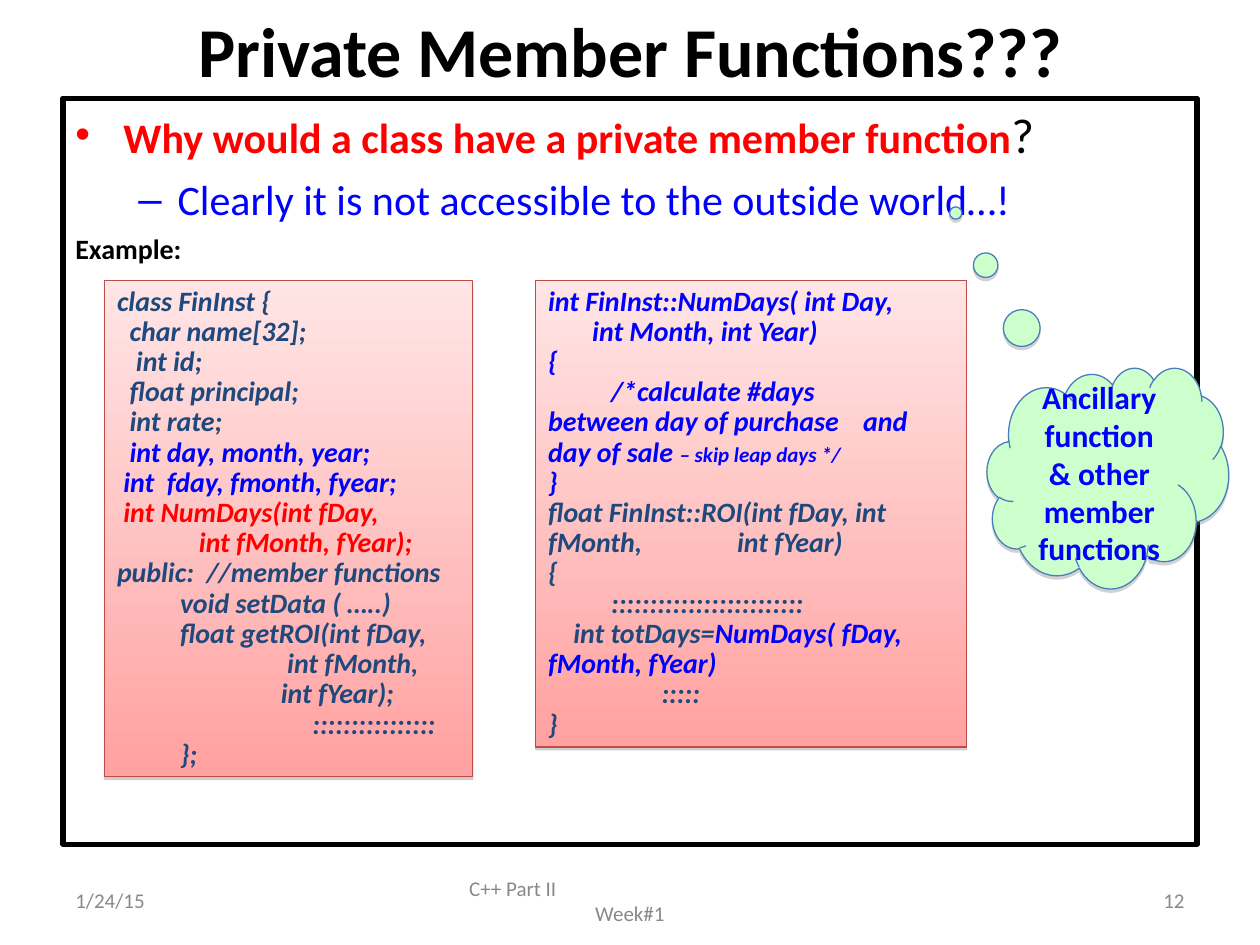
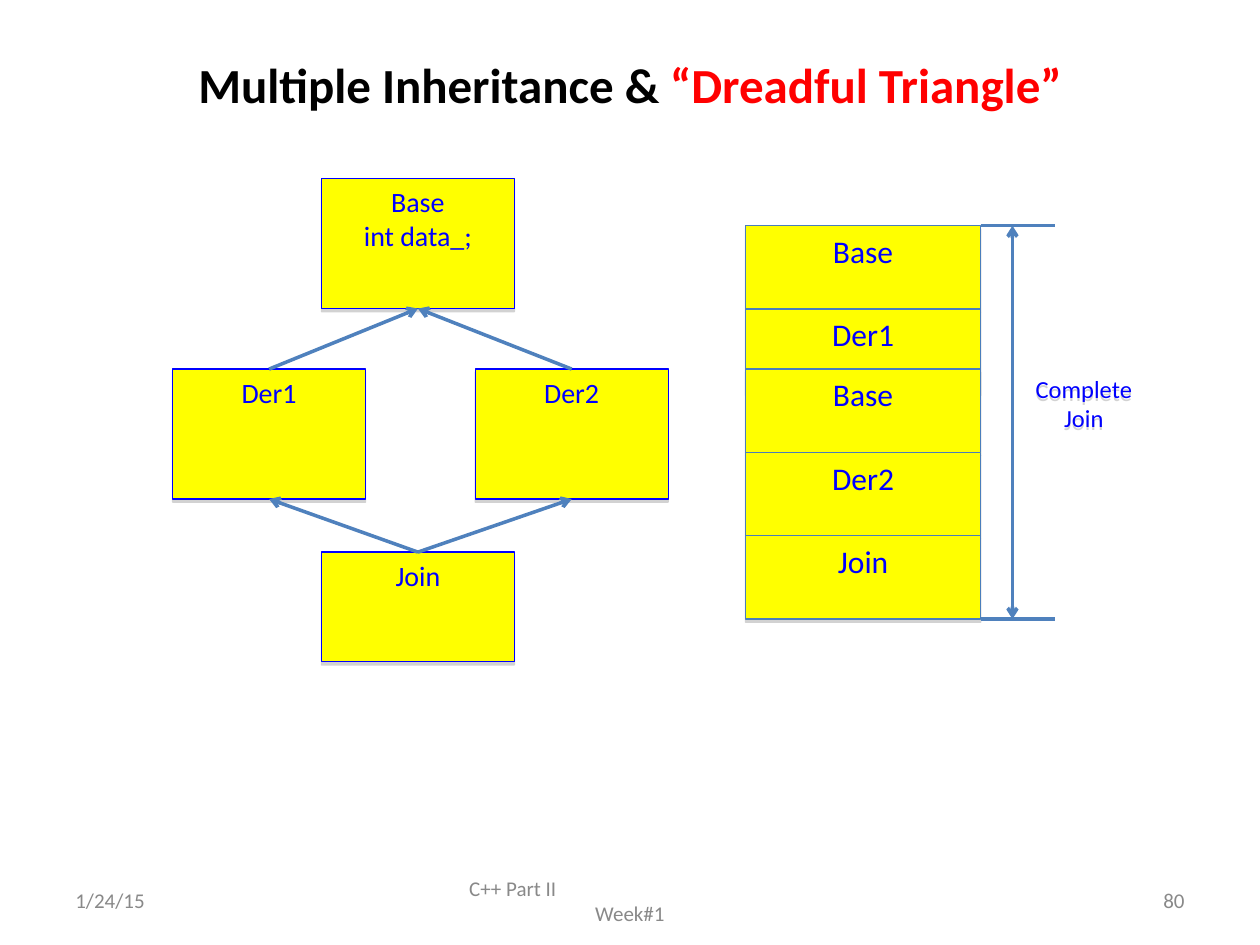
"""Build two C++ slides: private member functions and multiple inheritance."""
from lxml import etree
from pptx import Presentation
from pptx.dml.color import RGBColor
from pptx.enum.shapes import MSO_CONNECTOR, MSO_SHAPE
from pptx.enum.text import MSO_ANCHOR, PP_ALIGN
from pptx.oxml import parse_xml
from pptx.oxml.ns import nsdecls, qn
from pptx.util import Cm, Pt

FONT = "Calibri"
BLACK = RGBColor(0x00, 0x00, 0x00)
RED = RGBColor(0xFF, 0x00, 0x00)
BLUE = RGBColor(0x00, 0x00, 0xFF)
NAVY = RGBColor(0x1F, 0x49, 0x7D)
GRAY = RGBColor(0x89, 0x89, 0x89)
YELLOW = RGBColor(0xFF, 0xFF, 0x00)
MINT = RGBColor(0xCC, 0xFF, 0xCC)
PINK_TOP = RGBColor(0xFF, 0xE5, 0xE5)
PINK_BOTTOM = RGBColor(0xFF, 0xA2, 0xA1)
PINK_EDGE = RGBColor(0xBE, 0x4B, 0x48)
STEEL = RGBColor(0x4A, 0x7E, 0xBB)
ARROW = RGBColor(0x4F, 0x81, 0xBD)
LEFT, CENTER, RIGHT = PP_ALIGN.LEFT, PP_ALIGN.CENTER, PP_ALIGN.RIGHT

DATE = "1/24/15"
COURSE = ["C++ Part II", "Week#1"]

PRIVATE_TITLE = ["Private Member Functions???"]
QUESTION = [
    [("Why would a class have a private member function", dict(color=RED, bold=True)),
     ("?", dict(size=28))],
    [("Clearly it is not accessible to the outside world…!", dict(color=BLUE))],
    [("Example:", dict(size=16, bold=True))],
]
QUESTION_FORMAT = [("•", RED, 0.97, -0.97, 0), ("–", BLUE, 2.06, -0.79, 6), (None, None, 0, 0, 4)]

CLASS_CODE = [
    (NAVY, ["class FinInst {", "  char name[32];", "   int id;", "  float principal;", "  int rate;"]),
    (BLUE, ["  int day, month, year;", " int  fday, fmonth, fyear;"]),
    (RED, [" int NumDays(int fDay,", "             int fMonth, fYear);"]),
    (NAVY, ["public:  //member functions", "\tvoid setData ( …..)", "\tfloat getROI(int fDay,",
            "                           int fMonth,", "                          int fYear);",
            "\t\t\t ::::::::::::::::", "\t};"]),
]
METHOD_CODE = [
    (BLUE, ["int FinInst::NumDays( int Day,", "       int Month, int Year)", "{",
            "\t/*calculate #days", "between day of purchase\tand",
            [("day of sale ", {}), ("– skip leap days */", dict(size=12))], "}"]),
    (NAVY, ["float FinInst::ROI(int fDay, int", "fMonth,\t\tint fYear)", "{",
            "\t:::::::::::::::::::::::::",
            [("    int totDays=", {}), ("NumDays( fDay,", dict(color=BLUE))],
            [("fMonth, fYear)", dict(color=BLUE))], "                  :::::", "}"]),
]
CODE_BOXES = [(CLASS_CODE, 2.11, 7.42, 10.0), (METHOD_CODE, 10.8, 8.68, 9.4)]
CLOUD = ["Ancillary function & other member functions"]

TRIANGLE_TITLE = [[("Multiple Inheritance & ", {}), ("“Dreadful Triangle”", dict(color=RED))]]
CLASSES = {
    "Base": (["Base", "int data_;"], 6.48, 3.6, 2.62),
    "Der1": (["Der1"], 3.48, 7.44, 2.62),
    "Der2": (["Der2"], 9.58, 7.44, 2.62),
    "Join": (["Join"], 6.48, 11.13, 2.21),
}
INHERITS = [("Join", "Der2"), ("Join", "Der1"), ("Der1", "Base"), ("Der2", "Base")]
LAYOUT_ROWS = [("Base", 1.68), ("Der1", 1.21), ("Base", 1.68), ("Der2", 1.68), ("Join", 1.68)]
STACK_LEFT, STACK_TOP, STACK_W, ROW_H = 15.03, 4.55, 4.74, 1.68


def write(sp, lines, size=16, color=BLACK, bold=False, italic=False, align=LEFT,
          anchor=MSO_ANCHOR.TOP, spacing=None):
    """Fill a shape with lines, each a string or a list of (text, overrides) runs."""
    tf = sp.text_frame
    tf.word_wrap = True
    tf.vertical_anchor = anchor
    for i, line in enumerate(lines):
        p = tf.paragraphs[0] if i == 0 else tf.add_paragraph()
        p.alignment = align
        if spacing:
            p.line_spacing = spacing
        for text, own in [(line, {})] if isinstance(line, str) else line:
            r = p.add_run()
            r.text = text
            f = r.font
            f.name = FONT
            f.size = Pt(own.get("size", size))
            f.bold = own.get("bold", bold)
            f.italic = italic
            f.color.rgb = own.get("color", color)
    return sp


def cast_shadow(sp, alpha=35, dist=1.8):
    """Give a shape a short grey shadow straight below it."""
    sp.shadow.inherit = False
    sp._element.spPr.find(qn("a:effectLst")).append(parse_xml(
        f'<a:outerShdw {nsdecls("a")} blurRad="0" dist="{Pt(dist)}" dir="5400000" rotWithShape="0">'
        f'<a:srgbClr val="808080"><a:alpha val="{alpha * 1000}"/></a:srgbClr></a:outerShdw>'))


def add_text(s, box, lines, **fmt):
    """Add a text box."""
    return write(s.shapes.add_textbox(*map(Cm, box)), lines, **fmt)


def add_box(s, kind, box, fill, edge, width=0.75):
    """Add an outlined shape, with a plain fill or none."""
    sp = s.shapes.add_shape(kind, *map(Cm, box))
    sp.shadow.inherit = False
    sp.line.color.rgb = edge
    sp.line.width = Pt(width)
    if fill is None:
        sp.fill.background()
    else:
        sp.fill.solid()
        sp.fill.fore_color.rgb = fill
    return sp


def add_process(s, box, lines, edge, size):
    """Add a yellow class box."""
    sp = add_box(s, MSO_SHAPE.FLOWCHART_PROCESS, box, YELLOW, edge)
    cast_shadow(sp)
    return write(sp, lines, size=size, color=BLUE, align=CENTER)


def add_line(s, ends, heads=()):
    """Add a straight line with arrowheads at the named ends."""
    c = s.shapes.add_connector(MSO_CONNECTOR.STRAIGHT, *map(Cm, ends))
    c.line.color.rgb = ARROW
    c.line.width = Pt(2)
    for head in heads:
        etree.SubElement(c.line._get_or_add_ln(), qn(f"a:{head}"), type="arrow")
    etree.SubElement(c._element.spPr, qn("a:effectLst"))
    return c


def set_tabs(p, step=1.27, count=8):
    """Put tab stops at equal steps."""
    tabs = etree.SubElement(p._p.get_or_add_pPr(), qn("a:tabLst"))
    for i in range(1, count + 1):
        etree.SubElement(tabs, qn("a:tab"), pos=str(Cm(step * i)), algn="l")


def add_bullet(p, char, color, margin, indent):
    """Give a paragraph a hanging coloured bullet."""
    pPr = p._p.get_or_add_pPr()
    pPr.set("marL", str(Cm(margin)))
    pPr.set("indent", str(Cm(indent)))
    clr = etree.SubElement(pPr, qn("a:buClr"))
    etree.SubElement(clr, qn("a:srgbClr"), val=str(color))
    etree.SubElement(pPr, qn("a:buFont"), typeface="Arial")
    etree.SubElement(pPr, qn("a:buChar"), char=char)


def new_slide(prs, title, box, size, number):
    """Start a slide with its title and footers."""
    s = prs.slides.add_slide(prs.slide_layouts[6])
    add_text(s, box, title, size=size, bold=True, align=CENTER, anchor=MSO_ANCHOR.MIDDLE)
    for lines, left, width, align in [(DATE, 1.27, 5.93, LEFT), (COURSE, 8.68, 8.04, CENTER),
                                      (number, 18.2, 5.93, RIGHT)]:
        lines = [lines] if isinstance(lines, str) else lines
        sp = add_text(s, (left, 17.65, width, 1.01), lines, size=12, color=GRAY,
                      align=align, anchor=MSO_ANCHOR.MIDDLE)
        if lines is COURSE:
            p = sp.text_frame.paragraphs[0]
            p.alignment = LEFT
            p._p.get_or_add_pPr().set("marL", str(Cm(0.53)))
    return s


def build_private(prs):
    """Build the slide on private member functions."""
    s = new_slide(prs, PRIVATE_TITLE, (1.27, 0, 22.86, 1.98), 40, "12")
    frame = add_box(s, MSO_SHAPE.RECTANGLE, (1.27, 1.98, 22.86, 15.04), None, BLACK, 3)
    write(frame, QUESTION, size=24)
    for p, (char, color, margin, indent, before) in zip(frame.text_frame.paragraphs, QUESTION_FORMAT):
        if char:
            add_bullet(p, char, color, margin, indent)
        p.space_before = Pt(before)
    for code, left, width, height in CODE_BOXES:
        sp = add_box(s, MSO_SHAPE.RECTANGLE, (left, 5.66, width, height), None, PINK_EDGE)
        sp.fill.gradient()
        sp.fill.gradient_angle = 270
        for stop, color in zip(sp.fill.gradient_stops, (PINK_TOP, PINK_BOTTOM)):
            stop.color.rgb = color
        cast_shadow(sp, 38, 1.6)
        lines = [[(line, dict(color=color))] if isinstance(line, str)
                 else [(text, {"color": color, **own}) for text, own in line]
                 for color, block in code for line in block]
        write(sp, lines, bold=True, italic=True, spacing=0.9)
        for p in sp.text_frame.paragraphs:
            set_tabs(p)
    cloud = add_box(s, MSO_SHAPE.CLOUD_CALLOUT, (19.9, 7.41, 4.87, 4.45), MINT, STEEL)
    cloud.adjustments[0], cloud.adjustments[1] = -0.63, -1.2
    cast_shadow(cloud)
    write(cloud, CLOUD, size=18, color=BLUE, bold=True, align=CENTER, anchor=MSO_ANCHOR.MIDDLE)


def build_triangle(prs):
    """Build the slide on multiple inheritance."""
    s = new_slide(prs, TRIANGLE_TITLE, (1.9, 0.64, 21.6, 2.12), 28, "80")
    boxes = {name: add_process(s, (left, top, 3.89, height), lines, BLUE, 16)
             for name, (lines, left, top, height) in CLASSES.items()}
    for child, parent in INHERITS:
        c = add_line(s, (0, 0, 1, 1), ["tailEnd"])
        c.begin_connect(boxes[child], 0)
        c.end_connect(boxes[parent], 2)
    top = STACK_TOP
    for name, step in LAYOUT_ROWS:
        add_process(s, (STACK_LEFT, top, STACK_W, ROW_H), [name], STEEL, 18)
        top += step
    right = STACK_LEFT + STACK_W
    for y in (STACK_TOP, top):
        add_line(s, (right, y, right + 1.49, y))
    add_line(s, (right + 0.64, STACK_TOP, right + 0.64, top), ["headEnd", "tailEnd"])
    label = add_text(s, (20.62, 6.22, 2.46, 3.81), ["Complete Join"], size=14, color=BLUE,
                     align=CENTER, anchor=MSO_ANCHOR.MIDDLE)
    cast_shadow(label)


def main():
    """Build and save the deck."""
    prs = Presentation()
    prs.slide_width, prs.slide_height = Cm(25.4), Cm(19.05)
    build_private(prs)
    build_triangle(prs)
    prs.save("out.pptx")


if __name__ == "__main__":
    main()
